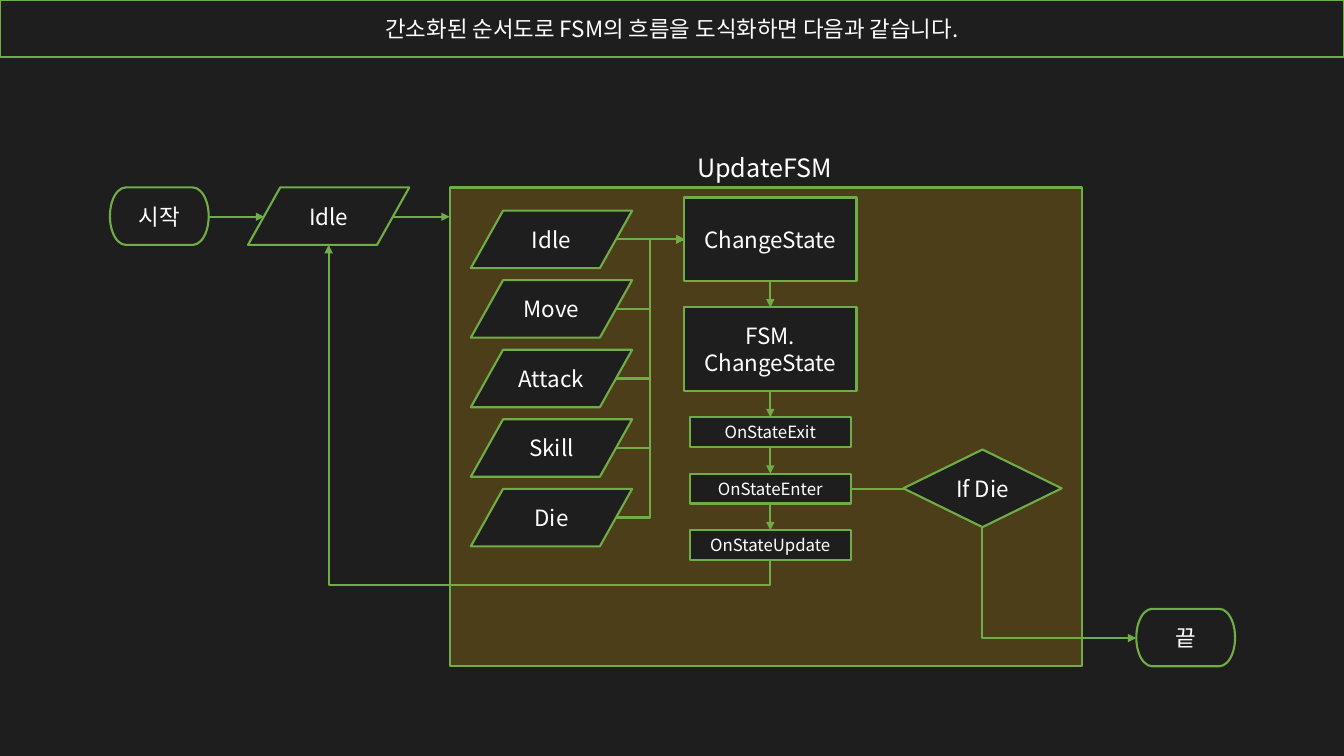
from dataclasses import dataclass

from lxml import etree
from pptx import Presentation
from pptx.dml.color import RGBColor
from pptx.enum.shapes import MSO_CONNECTOR, MSO_SHAPE
from pptx.enum.text import MSO_ANCHOR, MSO_AUTO_SIZE, PP_ALIGN
from pptx.oxml.ns import qn
from pptx.util import Inches, Pt

TERMINATOR = MSO_SHAPE.FLOWCHART_TERMINATOR
STATE = MSO_SHAPE.FLOWCHART_DATA
PROCESS = MSO_SHAPE.FLOWCHART_PROCESS
DECISION = MSO_SHAPE.FLOWCHART_DECISION
STRAIGHT, ELBOW = MSO_CONNECTOR.STRAIGHT, MSO_CONNECTOR.ELBOW
MIDDLE, TOP = MSO_ANCHOR.MIDDLE, MSO_ANCHOR.TOP
CENTER = PP_ALIGN.CENTER
NO_AUTOFIT = MSO_AUTO_SIZE.NONE
TITLE_ONLY = 5
COLUMNS, ROWS = 133.3, 75


@dataclass(frozen=True)
class Theme:
    font: str = "Noto Sans CJK KR"
    dark: RGBColor = RGBColor(0x1E, 0x1E, 0x1E)
    green: RGBColor = RGBColor(0x70, 0xAD, 0x47)
    amber: RGBColor = RGBColor(0xFF, 0xC0, 0x00)
    white: RGBColor = RGBColor(0xFF, 0xFF, 0xFF)
    heading: int = 18
    body: int = 16
    small: int = 12
    line_width: float = 1.5


class FlowSlide:
    def __init__(self, presentation, theme):
        self.theme = theme
        self.column = presentation.slide_width / COLUMNS
        self.row = presentation.slide_height / ROWS
        self.slide = presentation.slides.add_slide(presentation.slide_layouts[TITLE_ONLY])
        self.slide.background.fill.solid()
        self.slide.background.fill.fore_color.rgb = theme.dark

    def place(self, columns, rows):
        return round(columns * self.column), round(rows * self.row)

    def outline(self, line):
        line.color.rgb = self.theme.green
        line.width = Pt(self.theme.line_width)

    def paint(self, shape, color):
        shape.fill.solid()
        shape.fill.fore_color.rgb = color
        self.outline(shape.line)

    def set_text(self, shape, text, size, anchor=MIDDLE):
        frame = shape.text_frame
        frame.text = text
        frame.word_wrap = True
        frame.auto_size = NO_AUTOFIT
        frame.vertical_anchor = anchor
        for paragraph in frame.paragraphs:
            paragraph.alignment = CENTER
            paragraph.font.name = self.theme.font
            paragraph.font.size = Pt(size)
            paragraph.font.color.rgb = self.theme.white
        for latin in shape.element.findall(".//" + qn("a:latin")):
            east_asian = etree.Element(qn("a:ea"), typeface=self.theme.font)
            latin.addnext(east_asian)

    def title(self, text, height):
        shape = self.slide.shapes.title
        shape.left, shape.top = 0, 0
        shape.width, shape.height = self.place(COLUMNS, height)
        self.paint(shape, self.theme.dark)
        self.set_text(shape, text, self.theme.body)

    def label(self, text, left, top, width, height):
        shape = self.slide.shapes.add_textbox(*self.place(left, top), *self.place(width, height))
        self.set_text(shape, text, self.theme.heading, TOP)

    def node(self, kind, text, left, top, width, height, size=None):
        shape = self.slide.shapes.add_shape(
            kind, *self.place(left, top), *self.place(width, height))
        shape.shadow.inherit = False
        self.paint(shape, self.theme.dark)
        self.set_text(shape, text, size or self.theme.body)

    def panel(self, left, top, width, height, opacity):
        shape = self.slide.shapes.add_shape(
            PROCESS, *self.place(left, top), *self.place(width, height))
        shape.shadow.inherit = False
        self.paint(shape, self.theme.amber)
        color = shape.element.spPr.find(qn("a:solidFill"))[0]
        etree.SubElement(color, qn("a:alpha"), val=str(round(opacity * 100000)))

    def arrow(self, begin, end, kind=STRAIGHT, bend=None, upright=False):
        (begin_x, begin_y), (end_x, end_y) = begin, end
        if upright:
            center_x, center_y = (begin_x + end_x) / 2, (begin_y + end_y) / 2
            across, down = begin_y - center_y, center_x - begin_x
            begin = center_x + across, center_y + down
            end = center_x - across, center_y - down
        connector = self.slide.shapes.add_connector(
            kind, *self.place(*begin), *self.place(*end))
        self.outline(connector.line)
        properties = connector.element.spPr
        if upright:
            properties.find(qn("a:xfrm")).set("rot", "5400000")
        if bend is not None:
            adjustments = properties.find(qn("a:prstGeom")).find(qn("a:avLst"))
            etree.SubElement(adjustments, qn("a:gd"), name="adj1",
                             fmla=f"val {round(bend * 100000)}")
        line = properties.find(qn("a:ln"))
        etree.SubElement(line, qn("a:tailEnd"), type="triangle")
        etree.SubElement(properties, qn("a:effectLst"))


def main():
    presentation = Presentation()
    presentation.slide_width, presentation.slide_height = Inches(13.33), Inches(7.5)
    theme = Theme()
    flow = FlowSlide(presentation, theme)
    flow.title("간소화된 순서도로 FSM의 흐름을 도식화하면 다음과 같습니다.", 5.7)

    node_height, state_width, terminal_width = 5.7, 16, 9.8
    entry_top, entry_middle = 18.6, 21.5
    flow.node(TERMINATOR, "시작", 10.9, entry_top, terminal_width, node_height)
    flow.arrow((20.7, entry_middle), (26.2, entry_middle))
    flow.node(STATE, "Idle", 24.6, entry_top, state_width, node_height)
    flow.panel(44.6, entry_top, 62.7, 47.5, 0.2)
    flow.arrow((39, entry_middle), (44.6, entry_middle))
    flow.label("UpdateFSM", 67.3, 14.6, 17.1, 4)

    states_top, state_pitch = 20.9, 6.9
    change_entry = (67.9, states_top + node_height / 2)
    for index, name in enumerate(["Idle", "Move", "Attack", "Skill", "Die"]):
        top = states_top + index * state_pitch
        flow.node(STATE, name, 46.7, top, state_width, node_height)
        flow.arrow((61.1, top + node_height / 2), change_entry, ELBOW if index else STRAIGHT)

    steps_center, step_gap = 76.4, 2.65
    large, small = (17.1, 8.25, theme.body), (16, 2.95, theme.small)
    steps = [("ChangeState", large), ("FSM.\vChangeState", large),
             ("OnStateExit", small), ("OnStateEnter", small), ("OnStateUpdate", small)]
    top = 19.6
    for index, (name, (width, height, size)) in enumerate(steps):
        if index:
            flow.arrow((steps_center, top - step_gap), (steps_center, top))
        flow.node(PROCESS, name, steps_center - width / 2, top, width, height, size)
        top += height + step_gap

    flow.arrow((steps_center, top - step_gap), (32.6, entry_top + node_height),
               ELBOW, bend=-0.08, upright=True)
    flow.node(TERMINATOR, "끝", 112.7, 60.4, terminal_width, node_height)
    flow.arrow((84.4, 48.5), (112.7, 63.3), ELBOW, bend=0.46)
    flow.node(DECISION, "If Die", 89.6, 44.6, 15.7, 7.7)
    presentation.save("out.pptx")


if __name__ == "__main__":
    main()
